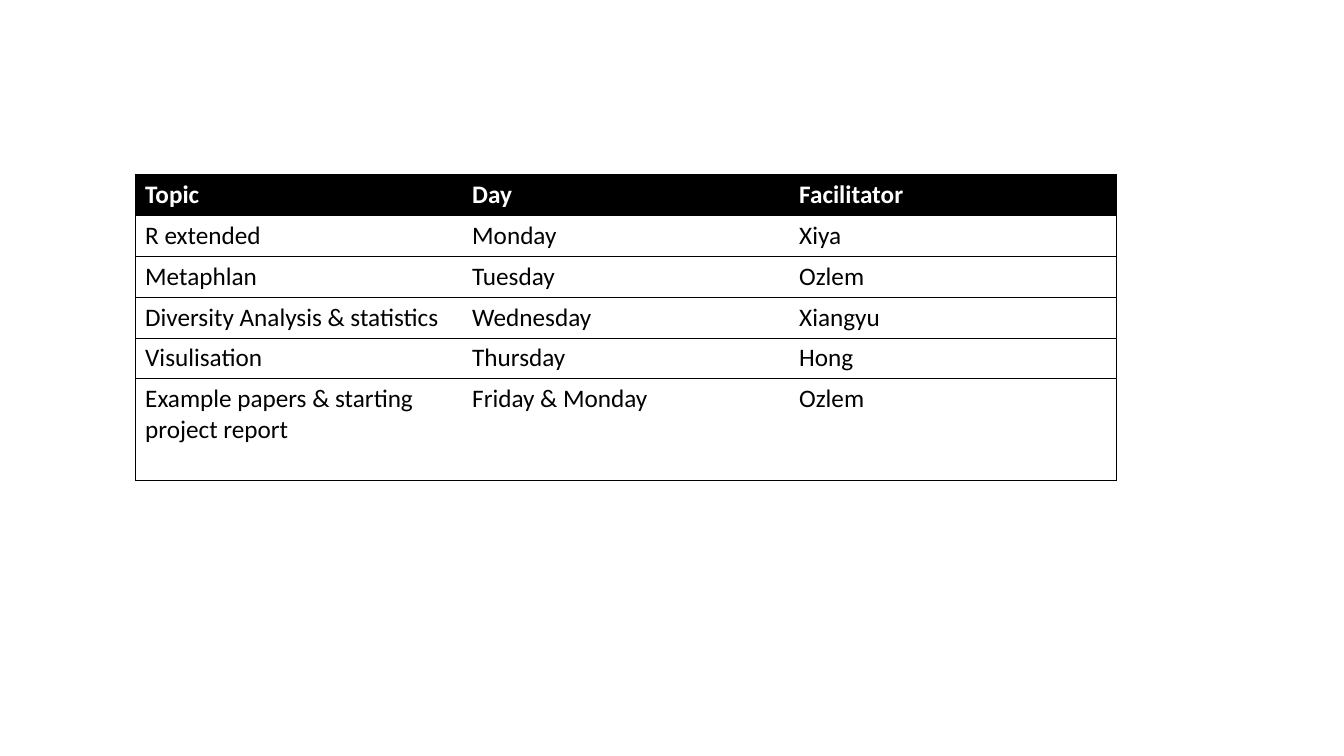
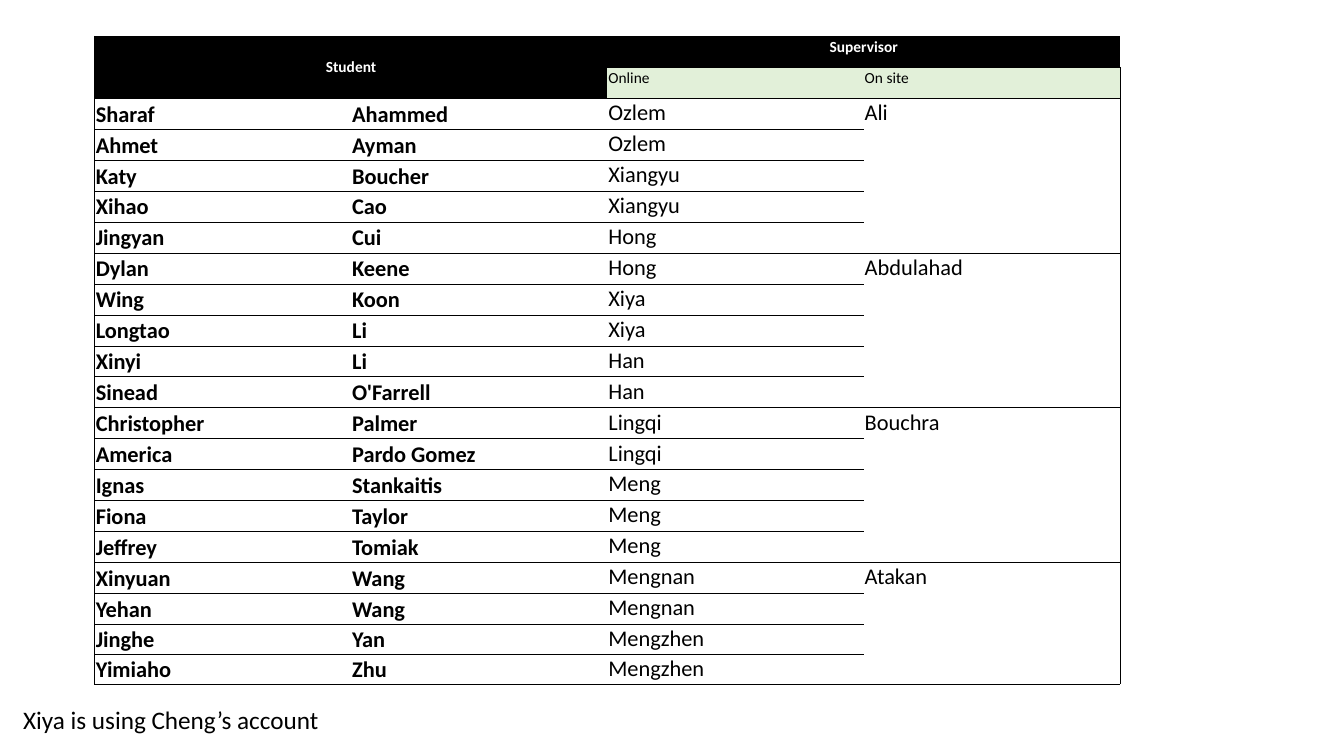
"""Build a two-slide course plan: weekly topics and student supervisors."""
from dataclasses import dataclass

from lxml import etree
from pptx import Presentation
from pptx.dml.color import RGBColor
from pptx.enum.text import MSO_ANCHOR, MSO_AUTO_SIZE, PP_ALIGN
from pptx.oxml.ns import qn
from pptx.util import Inches, Pt

TOP, MIDDLE, BOTTOM = MSO_ANCHOR.TOP, MSO_ANCHOR.MIDDLE, MSO_ANCHOR.BOTTOM
LEFT, CENTER = PP_ALIGN.LEFT, PP_ALIGN.CENTER
GROW = MSO_AUTO_SIZE.SHAPE_TO_FIT_TEXT


@dataclass(frozen=True)
class Theme:
    font: str = "Calibri"
    ink: str = "000000"
    paper: str = "FFFFFF"
    green: str = "E2F0D9"
    body: int = 18
    name: int = 16
    small: int = 11
    rule: float = 0.5


THEME = Theme()


def add_text(para, text, size, color=THEME.ink, bold=False):
    span = para.add_run()
    span.text = text
    span.font.name = THEME.font
    span.font.size = Pt(size)
    span.font.bold = bold
    span.font.color.rgb = RGBColor.from_string(color)


def format_cell(cell, text, size, sides, fill=None, bold=False, align=LEFT, anchor=TOP, inset=None):
    properties = cell._tc.get_or_add_tcPr()
    for side in "LRTB":
        line = etree.SubElement(properties, qn(f"a:ln{side}"), w=str(Pt(THEME.rule)))
        if side in sides:
            solid = etree.SubElement(line, qn("a:solidFill"))
            etree.SubElement(solid, qn("a:srgbClr"), val=THEME.ink)
        else:
            etree.SubElement(line, qn("a:noFill"))
    if fill:
        cell.fill.solid()
        cell.fill.fore_color.rgb = RGBColor.from_string(fill)
    else:
        cell.fill.background()
    cell.vertical_anchor = anchor
    if inset is not None:
        cell.margin_left = cell.margin_right = cell.margin_top = cell.margin_bottom = inset
    para = cell.text_frame.paragraphs[0]
    para.alignment = align
    if text:
        add_text(para, text, size, THEME.paper if fill == THEME.ink else THEME.ink, bold)


deck = Presentation()
deck.slide_width, deck.slide_height = Inches(13.33), Inches(7.5)
blank = deck.slide_layouts[6]

topics = [
    ("Topic", "Day", "Facilitator"),
    ("R extended", "Monday", "Xiya"),
    ("Metaphlan", "Tuesday", "Ozlem"),
    ("Diversity Analysis & statistics", "Wednesday", "Xiangyu"),
    ("Visulisation", "Thursday", "Hong"),
    ("Example papers & starting project report", "Friday & Monday", "Ozlem"),
]
page = deck.slides.add_slide(blank)
plan = page.shapes.add_table(
    len(topics), 3, Inches(1.34), Inches(1.73), Inches(9.73), Inches(3.03)).table
for row, texts in enumerate(topics):
    plan.rows[row].height = Inches(1.01 if row == len(topics) - 1 else 0.4)
    for column, text in enumerate(texts):
        header = row == 0
        format_cell(plan.cell(row, column), text, THEME.body, "TB" + ("L", "", "R")[column],
                    fill=THEME.ink if header else None, bold=header)

groups = [
    ("Ali", [("Sharaf", "Ahammed", "Ozlem"), ("Ahmet", "Ayman", "Ozlem"),
             ("Katy", "Boucher", "Xiangyu"), ("Xihao", "Cao", "Xiangyu"),
             ("Jingyan", "Cui", "Hong")]),
    ("Abdulahad", [("Dylan", "Keene", "Hong"), ("Wing", "Koon", "Xiya"),
                   ("Longtao", "Li", "Xiya"), ("Xinyi", "Li", "Han"),
                   ("Sinead", "O'Farrell", "Han")]),
    ("Bouchra", [("Christopher", "Palmer", "Lingqi"), ("America", "Pardo Gomez", "Lingqi"),
                 ("Ignas", "Stankaitis", "Meng"), ("Fiona", "Taylor", "Meng"),
                 ("Jeffrey", "Tomiak", "Meng")]),
    ("Atakan", [("Xinyuan", "Wang", "Mengnan"), ("Yehan", "Wang", "Mengnan"),
                ("Jinghe", "Yan", "Mengzhen"), ("Yimiaho", "Zhu", "Mengzhen")]),
]
header_rows = 2
row_count = header_rows + sum(len(students) for _, students in groups)
table_height, last_heights = 6.43, (0.3, 0.29)
regular_height = (table_height - sum(last_heights)) / (row_count - len(last_heights))
inset = Inches(0.01)

page = deck.slides.add_slide(blank)
roster = page.shapes.add_table(
    row_count, 4, Inches(0.94), Inches(0.36), Inches(10.17), Inches(table_height)).table
heights = [regular_height] * (row_count - len(last_heights)) + list(last_heights)
for row, height in zip(roster.rows, heights):
    row.height = Inches(height)

roster.cell(0, 0).merge(roster.cell(1, 1))
roster.cell(0, 2).merge(roster.cell(0, 3))
headings = [("Student", "", "Supervisor", ""), ("", "", "Online", "On site")]
for row, texts in enumerate(headings):
    for column, text in enumerate(texts):
        subheading = row == 1 and column > 1
        format_cell(roster.cell(row, column), text, THEME.small, "TB" + ("L", "", "", "R")[column],
                    fill=THEME.green if subheading else THEME.ink, bold=not subheading,
                    align=LEFT if subheading else CENTER,
                    anchor=MIDDLE if column < 2 else TOP, inset=inset)

row = header_rows
for supervisor, students in groups:
    last = row + len(students) - 1
    roster.cell(row, 3).merge(roster.cell(last, 3))
    format_cell(roster.cell(row, 3), supervisor, THEME.name, "TRB", inset=inset)
    for spanned in range(row + 1, last + 1):
        format_cell(roster.cell(spanned, 3), "", THEME.name,
                    "RB" if spanned == last else "R", inset=inset)
    for student in students:
        for column, text in enumerate(student):
            named = column < 2
            format_cell(roster.cell(row, column), text, THEME.name, "TB" + ("L", "", "")[column],
                        bold=named, anchor=BOTTOM if named else TOP, inset=inset)
        row += 1

box = page.shapes.add_textbox(Inches(0.13), Inches(6.94), Inches(3.21), Inches(0.4))
box.text_frame.word_wrap = False
box.text_frame.auto_size = GROW
add_text(box.text_frame.paragraphs[0], "Xiya is using Cheng’s account", THEME.body)

deck.save("out.pptx")
